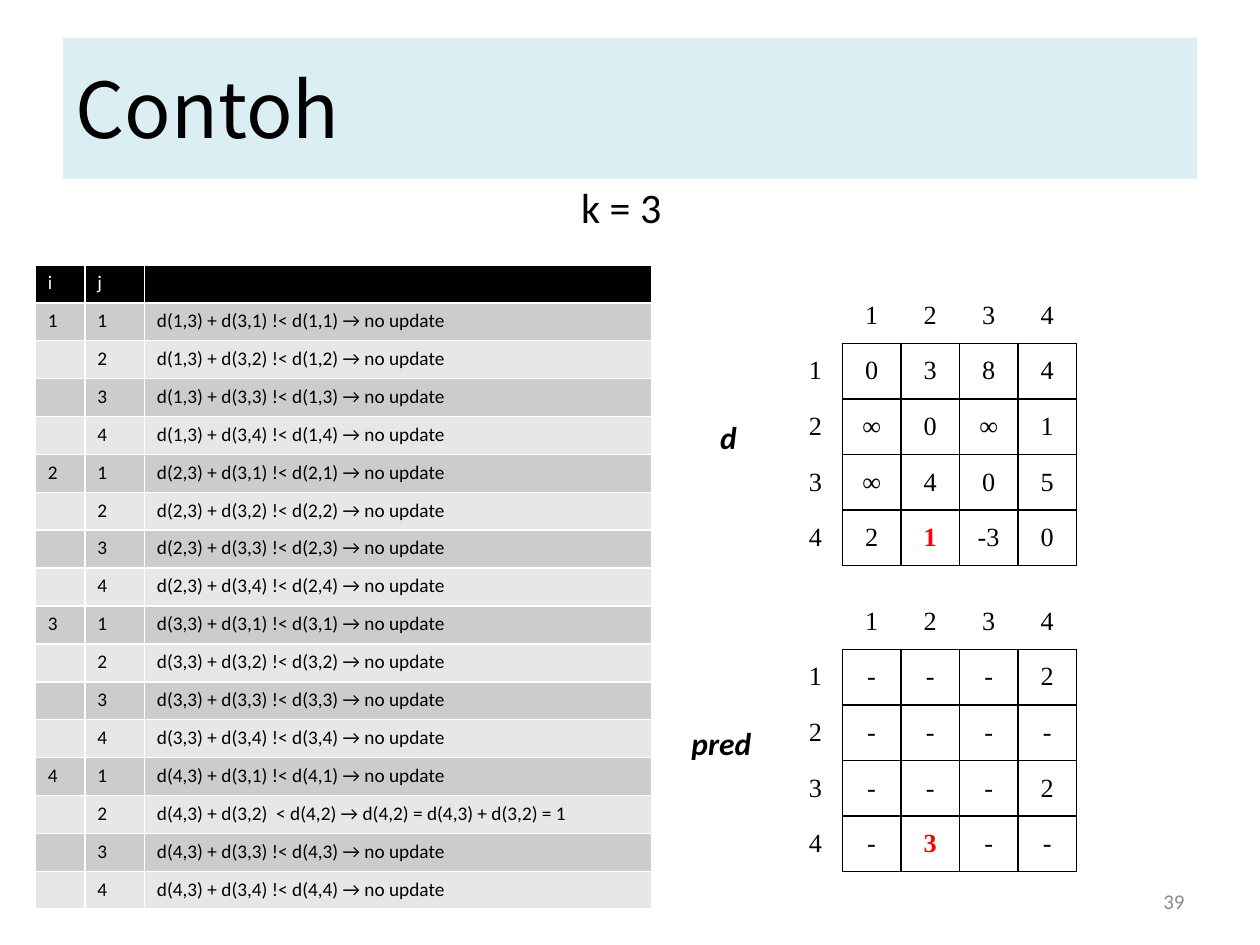
from lxml.etree import SubElement
from pptx import Presentation
from pptx.dml.color import RGBColor
from pptx.enum.text import MSO_ANCHOR, MSO_AUTO_SIZE, PP_ALIGN
from pptx.oxml.ns import qn
from pptx.util import Cm, Pt

color = RGBColor.from_string


def write(tf, text, fmt, hex_color="000000", align=PP_ALIGN.LEFT):
    p = tf.paragraphs[0]
    p.alignment = align
    if not text:
        p._p.get_or_add_endParaRPr().set("sz", str(int(fmt["size"].pt * 100)))
        return
    r = p.add_run()
    r.text = text
    for name, value in fmt.items():
        setattr(r.font, name, value)
    r.font.color.rgb = color(hex_color)


def border(cell, sides, hex_color):
    tcPr = cell._tc.get_or_add_tcPr()
    for side in sides:
        ln = SubElement(tcPr, qn(f"a:ln{side}"), w=str(Pt(1)))
        fill = SubElement(ln, qn("a:solidFill"))
        SubElement(fill, qn("a:srgbClr"), val=hex_color)


prs = Presentation()
prs.slide_width, prs.slide_height = Cm(25.4), Cm(19.05)
s = prs.slides.add_slide(prs.slide_layouts[5])

title = s.shapes.title
title.left, title.top, title.width, title.height = Cm(1.27), Cm(0.76), Cm(22.86), Cm(2.84)
title.fill.solid()
title.fill.fore_color.rgb = color("DBEEF4")
title.text_frame.vertical_anchor = MSO_ANCHOR.MIDDLE
write(title.text_frame, "Contoh", {"size": Pt(44), "name": "Noto Sans CJK KR"})

rows = [("i", "j", "")]
for i in range(1, 5):
    for j in range(1, 5):
        step = f"d({i},3) + d(3,{j}) !< d({i},{j}) → no update"
        if (i, j) == (4, 2):
            step = "d(4,3) + d(3,2)  < d(4,2) → d(4,2) = d(4,3) + d(3,2) = 1"
        rows.append((str(i) if j == 1 else "", str(j), step))

steps = s.shapes.add_table(len(rows), 3, Cm(0.71), Cm(5.34), Cm(12.42), Cm(13)).table
for col, width in zip(steps.columns, (1, 1.2, 10.22)):
    col.width = Cm(width)
for i, row in enumerate(rows):
    steps.rows[i].height = Cm(13) // len(rows)
    for j, text in enumerate(row):
        cell = steps.cell(i, j)
        border(cell, "LRTB", "FFFFFF")
        cell.fill.solid()
        cell.fill.fore_color.rgb = color("000000" if i == 0 else "CCCCCC" if i % 2 else "E7E7E7")
        write(cell.text_frame, text, {"size": Pt(11), "name": "Calibri", "bold": False},
              "FFFFFF" if i == 0 else "000000")

d = ["0 3 8 4", "∞ 0 ∞ 1", "∞ 4 0 5", "2 1 -3 0"]
pred = ["- - - 2", "- - - -", "- - - 2", "- 3 - -"]
updated = (4, 2)
for top, matrix in ((5.82, d), (11.99, pred)):
    grid = [["", "1", "2", "3", "4"]]
    grid += [[str(n), *line.split()] for n, line in enumerate(matrix, 1)]
    tbl = s.shapes.add_table(5, 5, Cm(15.9), Cm(top), Cm(5.8), Cm(5.58)).table
    tbl.first_row = tbl.horz_banding = False
    for k in range(5):
        tbl.columns[k].width = Cm(1.18 if k else 1.08)
        tbl.rows[k].height = Cm(1.12 if k else 1.1)
    for i, row in enumerate(grid):
        for j, text in enumerate(row):
            cell = tbl.cell(i, j)
            sides = "LRTB" if i and j else "R" if i else "B" if j else ""
            border(cell, sides, "000000")
            cell.fill.background()
            cell.vertical_anchor = MSO_ANCHOR.MIDDLE
            cell.margin_left = cell.margin_right = Cm(0.18)
            cell.margin_top = cell.margin_bottom = Cm(0.1)
            new = (i, j) == updated
            write(cell.text_frame, text,
                  {"size": Pt(15), "name": "Times New Roman", "bold": new},
                  "FF0000" if new else "000000", PP_ALIGN.CENTER)
            cell.text_frame.paragraphs[0].space_before = Pt(3)

label = {"size": Pt(18), "name": "Calibri", "bold": True, "italic": True}
texts = [
    ("k = 3", 11.33, 3.53, 2.39, 1.27, {"size": Pt(24), "name": "Calibri"}, "000000", PP_ALIGN.CENTER),
    ("d", 14.27, 8.31, 0.91, 1.02, label, "000000", PP_ALIGN.LEFT),
    ("pred", 13.69, 14.48, 1.9, 1.02, label, "000000", PP_ALIGN.LEFT),
    ("39", 18.21, 17.65, 5.92, 1.02, {"size": Pt(12), "name": "Calibri"}, "8C8C8C", PP_ALIGN.RIGHT),
]
for text, left, top, width, height, fmt, hex_color, align in texts:
    sp = s.shapes.add_textbox(Cm(left), Cm(top), Cm(width), Cm(height))
    tf = sp.text_frame
    if text == "39":
        tf.word_wrap = True
        tf.vertical_anchor = MSO_ANCHOR.MIDDLE
    else:
        tf.word_wrap = False
        tf.auto_size = MSO_AUTO_SIZE.SHAPE_TO_FIT_TEXT
    write(tf, text, fmt, hex_color, align)

prs.save("out.pptx")
